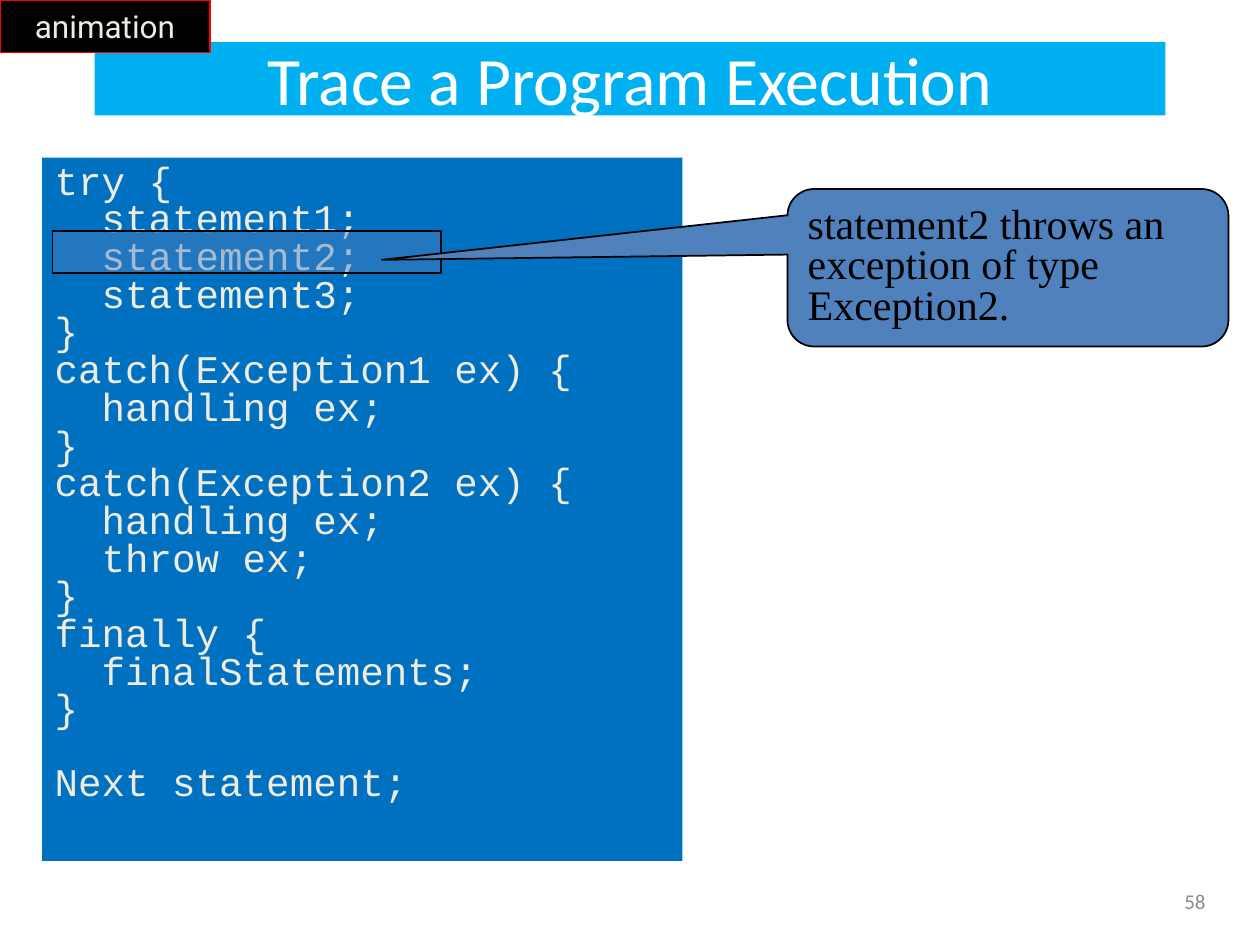
from lxml import etree
from pptx import Presentation
from pptx.dml.color import RGBColor
from pptx.enum.shapes import MSO_SHAPE
from pptx.enum.text import MSO_ANCHOR, MSO_AUTO_SIZE, PP_ALIGN
from pptx.oxml.ns import qn
from pptx.util import Pt

RECTANGLE = MSO_SHAPE.RECTANGLE
CALLOUT = MSO_SHAPE.ROUNDED_RECTANGULAR_CALLOUT
TOP, MIDDLE = MSO_ANCHOR.TOP, MSO_ANCHOR.MIDDLE
LEFT, CENTER, RIGHT = PP_ALIGN.LEFT, PP_ALIGN.CENTER, PP_ALIGN.RIGHT
NO_AUTOFIT = MSO_AUTO_SIZE.NONE

WHITE = RGBColor(0xFF, 0xFF, 0xFF)
BLACK = RGBColor(0x00, 0x00, 0x00)
RED = RGBColor(0xFF, 0x00, 0x00)
SKY = RGBColor(0x00, 0xB0, 0xF0)
BLUE = RGBColor(0x00, 0x70, 0xC0)
STEEL = RGBColor(0x4F, 0x81, 0xBD)
CREAM = RGBColor(0xEE, 0xEC, 0xE1)
GRAY = RGBColor(0x8C, 0x8C, 0x8C)

TITLE_FONT = {"name": "Calibri", "size": Pt(38.7), "color": WHITE}
CODE_FONT = {"name": "Courier New", "size": Pt(22.4), "color": CREAM}
TAG_FONT = {"name": "Roboto", "size": Pt(18), "color": CREAM}
CALLOUT_FONT = {"name": "Times New Roman", "size": Pt(24), "color": BLACK}
NUMBER_FONT = {"name": "Calibri", "size": Pt(12), "color": GRAY}

CODE_GAP = 5.4
SECTION_GAP = 26
CODE_BLOCKS = [
    """try {
  statement1;
  statement2;
  statement3;
}
catch(Exception1 ex) {
  handling ex;
}
catch(Exception2 ex) {
  handling ex;
  throw ex;
}
finally {
  finalStatements;
}""",
    "Next statement;",
]


def set_attributes(target, values):
    for name, value in values.items():
        setattr(target, name, value)


def place(shape, left, top, width, height):
    set_attributes(shape, {"left": Pt(left), "top": Pt(top),
                           "width": Pt(width), "height": Pt(height)})


def fill_solid(shape, color):
    shape.fill.solid()
    shape.fill.fore_color.rgb = color


def format_paragraph(paragraph, text, font, **layout):
    paragraph.text = text
    set_attributes(paragraph, layout)
    for name, value in font.items():
        if name == "color":
            paragraph.font.color.rgb = value
        else:
            setattr(paragraph.font, name, value)


def format_frame(shape, anchor, wrap=True, **margins):
    frame = shape.text_frame
    set_attributes(frame, {"auto_size": NO_AUTOFIT, "word_wrap": wrap,
                           "vertical_anchor": anchor, **margins})
    return frame


def add_outlined_shape(slide, kind, box, fill, line):
    shape = slide.shapes.add_shape(kind, *(Pt(length) for length in box))
    shape.shadow.inherit = False
    fill_solid(shape, fill)
    shape.line.color.rgb = line
    shape.line.width = Pt(1)
    return shape


def set_opacity(shape, percent):
    color = shape.fill._xPr.find(qn("a:solidFill"))[0]
    etree.SubElement(color, qn("a:alpha"), val=str(percent * 1000))


def add_title(slide, text):
    title = slide.shapes.title
    place(title, 54, 24, 612, 42)
    fill_solid(title, SKY)
    frame = format_frame(title, MIDDLE)
    format_paragraph(frame.paragraphs[0], text, TITLE_FONT, alignment=CENTER)


def add_code(slide, blocks):
    body = slide.placeholders[1]
    place(body, 24, 90, 366, 402)
    fill_solid(body, BLUE)
    frame = format_frame(body, TOP, margin_top=Pt(8.6))
    for block_index, block in enumerate(blocks):
        for line_index, line in enumerate(block.splitlines()):
            if block_index == line_index == 0:
                paragraph, gap = frame.paragraphs[0], 0
            else:
                paragraph = frame.add_paragraph()
                gap = CODE_GAP if line_index else SECTION_GAP
            properties = paragraph._p.get_or_add_pPr()
            properties.set("marL", str(Pt(27)))
            properties.set("indent", str(Pt(-27)))
            etree.SubElement(properties, qn("a:buNone"))
            format_paragraph(paragraph, line, CODE_FONT, alignment=LEFT,
                             line_spacing=0.6, space_before=Pt(gap))


def add_tag(slide, text):
    tag = add_outlined_shape(slide, RECTANGLE, (0, 0, 120, 30), BLACK, RED)
    frame = format_frame(tag, MIDDLE, wrap=False)
    format_paragraph(frame.paragraphs[0], text, TAG_FONT, alignment=CENTER)


def add_highlight(slide):
    highlight = add_outlined_shape(slide, RECTANGLE, (30, 132, 222, 24), STEEL, BLACK)
    set_opacity(highlight, 45)


def add_callout(slide, text):
    callout = add_outlined_shape(slide, CALLOUT, (450, 108, 252, 90), STEEL, BLACK)
    for index, value in enumerate((-1.42, -0.05, 0.17)):
        callout.adjustments[index] = value
    frame = format_frame(callout, TOP, margin_top=Pt(6))
    format_paragraph(frame.paragraphs[0], text, CALLOUT_FONT,
                     alignment=LEFT, line_spacing=0.8)


def add_slide_number(slide, text):
    box = slide.shapes.add_textbox(Pt(528), Pt(500.5), Pt(168), Pt(28.75))
    frame = format_frame(box, MIDDLE)
    format_paragraph(frame.paragraphs[0], text, NUMBER_FONT, alignment=RIGHT)


def main():
    presentation = Presentation()
    presentation.slide_width = Pt(720)
    presentation.slide_height = Pt(540)
    slide = presentation.slides.add_slide(presentation.slide_layouts[1])
    add_title(slide, "Trace a Program Execution")
    add_code(slide, CODE_BLOCKS)
    add_tag(slide, "animation")
    add_highlight(slide)
    add_callout(slide, "statement2 throws an exception of type Exception2.")
    add_slide_number(slide, "58")
    presentation.save("out.pptx")


if __name__ == "__main__":
    main()
